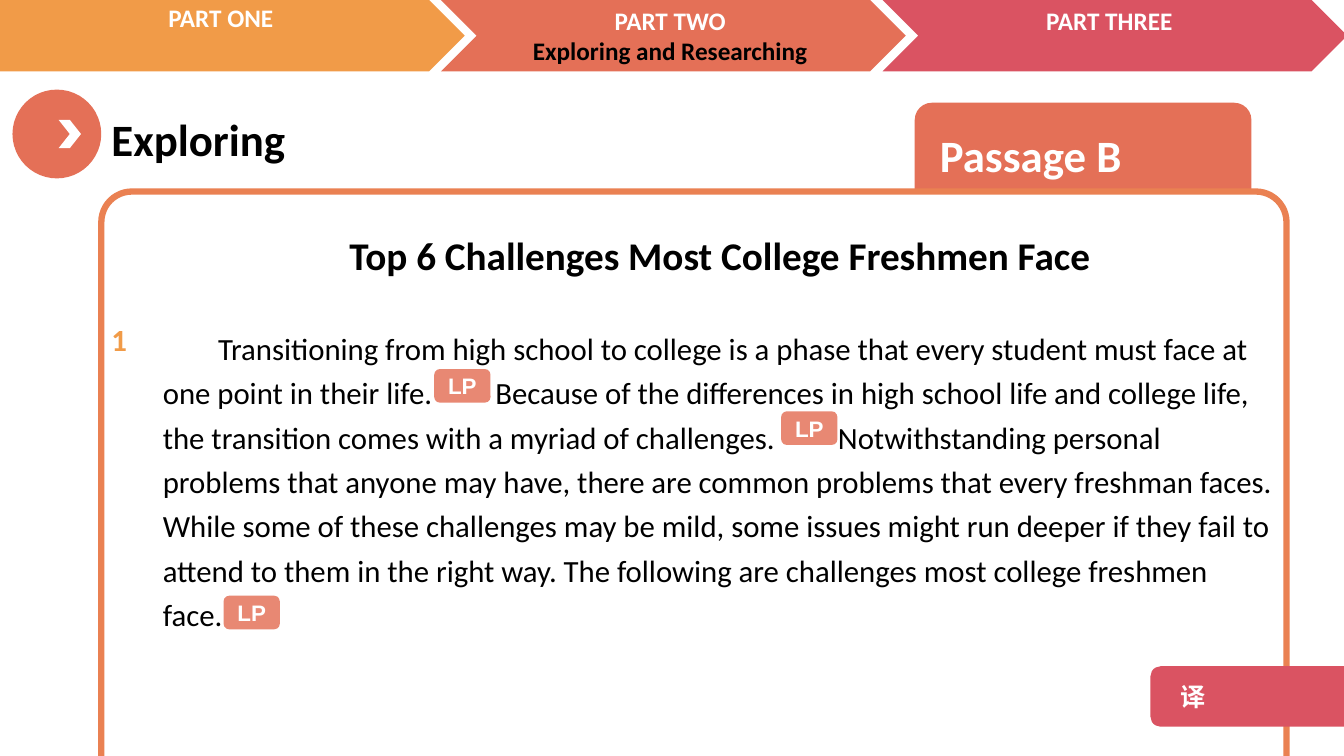
from lxml import etree
from pptx import Presentation
from pptx.dml.color import RGBColor
from pptx.enum import shapes as kinds, text as styles
from pptx.oxml import ns
from pptx.util import Pt

COLORS = {
    "orange": "F19B48", "coral": "E47057", "rose": "DA5362",
    "border": "EA8152", "white": "FFFFFF", "black": "000000",
}
SHAPE = kinds.MSO_SHAPE
ALIGN = styles.PP_ALIGN
ANCHOR = styles.MSO_ANCHOR

PARTS = [
    ("PART ONE", None, -44, 376, -6.5, -2, "orange"),
    ("PART TWO", "Exploring and Researching", 315, 332, 314.5, 0, "coral"),
    ("PART THREE", None, 630.4, 332, 628.2, 0, "rose"),
]
HEADLINE = "Top 6 Challenges Most College Freshmen Face"
SENTENCES = [
    "Transitioning from high school to college is a phase that every student "
    "must face at one point in their life.",
    "Because of the differences in high school life and college life, the "
    "transition comes with a myriad of challenges.",
    "Notwithstanding personal problems that anyone may have, there are common "
    "problems that every freshman faces. While some of these challenges may be "
    "mild, some issues might run deeper if they fail to attend to them in the "
    "right way. The following are challenges most college freshmen",
]
PASSAGE_END = "face."
BADGE_GAP = 40
LP_SPOTS = [(199.2, 146.8), (447, 177), (48.7, 308.7)]


def rgb(name):
    """Return the named colour."""
    return RGBColor.from_string(COLORS[name])


def draw(slide, kind, box, fill):
    """Add a flat shape without outline or shadow."""
    form = slide.shapes.add_shape(kind, *map(Pt, box))
    form.shadow.inherit = False
    form.fill.solid()
    form.fill.fore_color.rgb = rgb(fill)
    form.line.fill.background()
    return form


def style(paragraph, size, color, bold=True, align=ALIGN.LEFT, font="Calibri"):
    """Format a paragraph and its runs."""
    paragraph.alignment = align
    for run in paragraph.runs:
        run.font.size = Pt(size)
        run.font.bold = bold
        run.font.name = font
        run.font.color.rgb = rgb(color)


def label(slide, box, words):
    """Add a wrapping text box and return its frame."""
    frame = slide.shapes.add_textbox(*map(Pt, box)).text_frame
    frame.word_wrap = True
    frame.text = words
    return frame


def badge(slide, box, words, fill, size, align=ALIGN.LEFT, font="Calibri", inset=7.2):
    """Add a rounded rectangle with bold white words."""
    form = draw(slide, SHAPE.ROUNDED_RECTANGLE, box, fill)
    frame = form.text_frame
    frame.vertical_anchor = ANCHOR.MIDDLE
    frame.margin_left = Pt(inset)
    frame.text = words
    style(frame.paragraphs[0], size, "white", align=align, font=font)
    return form


def part_banner(slide, box):
    """Draw the row of chevrons naming the three parts."""
    left, top, _, height = box
    for _, _, offset, width, _, _, fill in reversed(PARTS):
        draw(slide, SHAPE.CHEVRON, (left + offset, top, width, height), fill)
    for part, topic, _, _, offset, rise, _ in PARTS:
        frame = label(slide, (left + offset, top + rise, 328.4, height), part)
        style(frame.paragraphs[0], 18, "white", align=ALIGN.CENTER)
        if topic:
            line = frame.add_paragraph()
            line.text = topic
            style(line, 18, "black", align=ALIGN.CENTER)


def section_heading(slide, box):
    """Place the round marker, the section title and the passage tab."""
    left, top, width, _ = box
    draw(slide, SHAPE.OVAL, (left, top, 63.4, 63.4), "coral")
    draw(slide, SHAPE.CHEVRON, (left + 33, top + 21.6, 16, 20.2), "white")
    badge(slide, (left + width - 240.5, top + 9.4, 240.5, 73.4),
          "Passage B", "coral", 32, inset=14.4)
    title = slide.shapes.title
    title.left, title.top, title.width, title.height = map(
        Pt, (left + 63.5, top + 12.2, 349, 46))
    frame = title.text_frame
    frame.auto_size = styles.MSO_AUTO_SIZE.NONE
    frame.vertical_anchor = ANCHOR.TOP
    frame.text = "Exploring"
    style(frame.paragraphs[0], 32, "black")


def write_opening(paragraph):
    """Write the sentences, leaving a wide space for each badge."""
    paragraph.text = SENTENCES[0]
    for sentence in SENTENCES[1:]:
        gap = paragraph.add_run()
        gap.text = " "
        gap._r.get_or_add_rPr().set("spc", str(BADGE_GAP * 100))
        paragraph.add_run().text = sentence


def passage_card(slide, box):
    """Draw the framed card with the passage and its number."""
    left, top, width, _ = box
    card = draw(slide, SHAPE.ROUNDED_RECTANGLE, box, "white")
    card.adjustments[0] = 0.047
    card.line.color.rgb = rgb("border")
    card.line.width = Pt(4.5)

    body = slide.placeholders[1]
    body.left, body.top, body.width, body.height = map(
        Pt, (left + 36.7, top + 18, width - 36.7, 302))
    card.element.addnext(body.element)
    frame = body.text_frame
    frame.auto_size = styles.MSO_AUTO_SIZE.NONE
    frame.text = HEADLINE
    headline, opening, ending = (
        frame.paragraphs[0], frame.add_paragraph(), frame.add_paragraph())
    write_opening(opening)
    ending.text = PASSAGE_END
    for paragraph, indent in ((headline, 0), (opening, 39.5), (ending, 0)):
        properties = paragraph._p.get_or_add_pPr()
        properties.set("marL", "0")
        properties.set("indent", str(Pt(indent)))
        etree.SubElement(properties, ns.qn("a:buNone"))
        paragraph.line_spacing = 1.2
        paragraph.space_before = Pt(0)
        style(paragraph, 22, "black", bold=False)
    style(headline, 28, "black", align=ALIGN.CENTER)
    opening.space_before = Pt(31.5)

    number = label(slide, (left, top + 83.5, 36.7, 40), "1").paragraphs[0]
    number.line_spacing = 1.2
    style(number, 22, "orange")


def language_points(slide, box):
    """Place the translucent LP badges within the passage."""
    left, top, _, _ = box
    for across, down in LP_SPOTS:
        form = badge(slide, (left + across, top + down, 40.2, 24), "LP", "coral",
                     16, align=ALIGN.CENTER, font="Arial")
        tint = form.element.spPr.find(".//" + ns.qn("a:srgbClr"))
        etree.SubElement(tint, ns.qn("a:alpha"), val="83000")


def translation_tab(slide, box):
    """Place the translation badge at the slide edge."""
    font = "Noto Sans CJK SC"
    form = badge(slide, box, "译", "rose", 18, font=font, inset=19.5)
    latin = form.element.find(".//" + ns.qn("a:latin"))
    latin.addnext(latin.makeelement(ns.qn("a:ea"), {"typeface": font}))


def passage_slide(deck):
    """Build the passage slide from its regions."""
    slide = deck.slides.add_slide(deck.slide_layouts[1])
    section_heading(slide, (8.9, 64, 885, 64))
    passage_card(slide, (72.4, 136.8, 846.6, 464.4))
    part_banner(slide, (0, 0, 960, 51))
    translation_tab(slide, (821.8, 475.9, 153.4, 43.2))
    language_points(slide, (111, 116.8, 808, 340))


def main():
    """Create and save the deck."""
    deck = Presentation()
    deck.slide_width, deck.slide_height = Pt(960), Pt(540)
    passage_slide(deck)
    deck.save("out.pptx")


if __name__ == "__main__":
    main()
